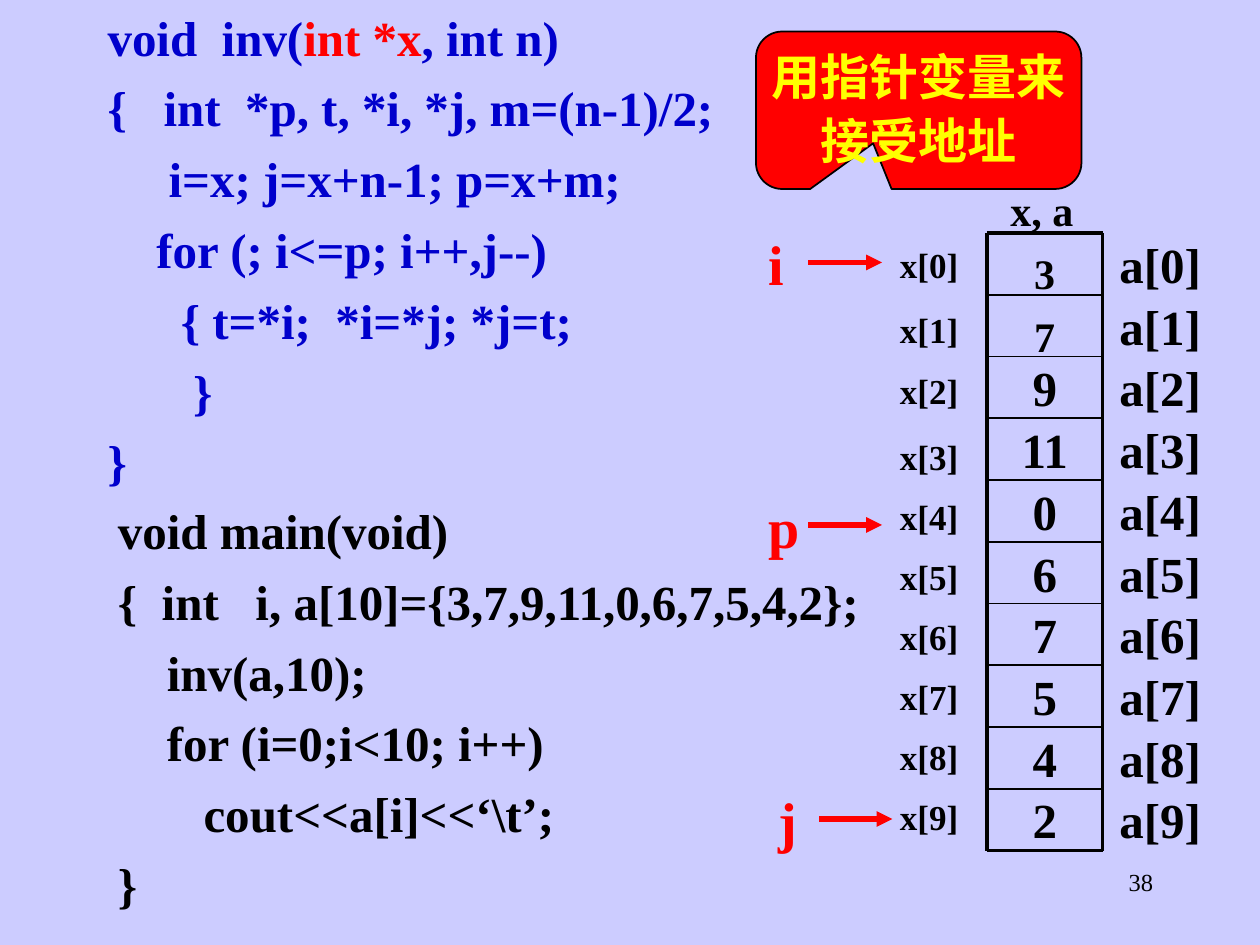
from itertools import accumulate

from lxml import etree
from pptx import Presentation
from pptx import util as u
from pptx.dml import color
from pptx.enum import shapes, text
from pptx.oxml import ns

COLORS = {"bg": "CCCCFF", "ink": "000000", "code": "0000CC",
          "accent": "FF0000", "note": "FFFF00"}
COLS, ROWS = 120, 90
LEFT, CENTER, RIGHT = text.PP_ALIGN.LEFT, text.PP_ALIGN.CENTER, text.PP_ALIGN.RIGHT
TIGHT = (0.02, 0.01, 0.02, 0.01)
LABEL = (0.02, 0.08, 0.02, 0.04)
LOOSE = (0.1, 0.05, 0.1, 0.05)


class Deck:
    font = "Times New Roman"

    def __init__(self):
        self.prs = Presentation()
        self.prs.slide_width, self.prs.slide_height = u.Inches(10), u.Inches(7.5)
        self.s = self.prs.slides.add_slide(self.prs.slide_layouts[6])
        fill = self.s.background.fill
        fill.solid()
        fill.fore_color.rgb = self.rgb("bg")

    def rgb(self, name):
        return color.RGBColor.from_string(COLORS[name])

    def x(self, col):
        return round(self.prs.slide_width * col / COLS)

    def y(self, row):
        return round(self.prs.slide_height * row / ROWS)

    def area(self, col, row, width, height):
        return self.x(col), self.y(row), self.x(width), self.y(height)

    def add_lines(self, sp, lines, size, ink="ink", align=CENTER, inset=TIGHT,
                  spacing=1.0, before=0, bold=True):
        tf = sp.text_frame
        tf.word_wrap = True
        tf.vertical_anchor = text.MSO_ANCHOR.TOP
        (tf.margin_left, tf.margin_top,
         tf.margin_right, tf.margin_bottom) = map(u.Inches, inset)
        for n, runs in enumerate(lines):
            p = tf.add_paragraph() if n else tf.paragraphs[0]
            p.alignment = align
            p.line_spacing = spacing
            if n:
                p.space_before = u.Pt(before)
            for words, shade in runs:
                r = p.add_run()
                r.text = words
                r.font.name = self.font
                r.font.size = u.Pt(size)
                r.font.bold = bold
                r.font.color.rgb = self.rgb(shade or ink)

    def text(self, area, words, size, **style):
        sp = self.s.shapes.add_textbox(*self.area(*area))
        self.add_lines(sp, [[(words, None)]], size, **style)

    def code(self, area, lines, ink):
        sp = self.s.shapes.add_textbox(*self.area(*area))
        self.add_lines(sp, lines, 28, ink=ink, align=LEFT, spacing=1.1, before=3.5)

    def callout(self, area, words, tip):
        sp = self.s.shapes.add_shape(
            shapes.MSO_SHAPE.ROUNDED_RECTANGULAR_CALLOUT, *self.area(*area))
        sp.adjustments[0], sp.adjustments[1] = tip
        sp.shadow.inherit = False
        sp.fill.solid()
        sp.fill.fore_color.rgb = self.rgb("accent")
        sp.line.color.rgb = self.rgb("ink")
        sp.line.width = u.Pt(1)
        self.add_lines(sp, [[(words, None)]], 28, ink="note", spacing=1.1)

    def line(self, x1, y1, x2, y2, width, ink="ink", arrow=False):
        c = self.s.shapes.add_connector(
            shapes.MSO_CONNECTOR.STRAIGHT,
            self.x(x1), self.y(y1), self.x(x2), self.y(y2))
        c.line.color.rgb = self.rgb(ink)
        c.line.width = u.Pt(width)
        props = c._element.spPr
        if arrow:
            etree.SubElement(props.find(ns.qn("a:ln")), ns.qn("a:tailEnd"), type="triangle")
        etree.SubElement(props, ns.qn("a:effectLst"))

    def pointer(self, name, col, row):
        self.line(col + 5, row + 5, col + 12, row + 5, 3, "accent", arrow=True)
        self.text((col, row, 6, 8.9), name, 32, ink="accent", align=LEFT,
                  inset=LOOSE, spacing=1.2)


def main():
    deck = Deck()
    deck.text((86, 82, 25, 6), "38", 14, align=RIGHT, inset=LOOSE, bold=False)

    deck.code((10, 0, 75, 46.9), [
        [("void  inv(", None), ("int *x", "accent"), (", int n)", None)],
        [("{   int  *p, t, *i, *j, m=(n-1)/2;", None)],
        [("     i=x; j=x+n-1; p=x+m;", None)],
        [("    for (; i<=p; i++,j--)", None)],
        [("      { t=*i;  *i=*j; *j=t;", None)],
        [("       }", None)],
        [("}", None)],
    ], "code")
    deck.code((11, 47, 95, 40.2), [
        [("void main(void)", None)],
        [("{  int   i, a[10]={3,7,9,11,0,6,7,5,4,2};", None)],
        [("    inv(a,10);", None)],
        [("    for (i=0;i<10; i++)", None)],
        [("       cout<<a[i]<<‘\\t’;", None)],
        [("}", None)],
    ], "ink")
    deck.callout((72, 3, 31, 15), "用指针变量来接受地址", (-0.14, 0.21))

    values = [3, 7, 9, 11, 0, 6, 7, 5, 4, 2]
    left, top, width, step = 94, 22.2, 11, 5.88
    right, bottom = left + width, top + step * len(values)
    heights = [6.24, 5.76, 6.36] + [5.7] * 7
    label_tops = accumulate(heights, initial=top)
    for n, (value, height, label_top) in enumerate(zip(values, heights, label_tops)):
        row = top + n * step
        if n < 2:
            deck.text((left, 23 + 6 * n, width, 5.5), str(value), 24, spacing=1.1)
        else:
            deck.text((left, row, width, step), str(value), 28)
        deck.text((left - width, label_top, width, height), f"x[{n}]", 20, inset=LABEL)
        deck.text((right, row, width, step), f"a[{n}]", 28)
        if n:
            deck.line(left, row, right, row, 1)
    for row in (top, bottom):
        deck.line(left, row, right, row, 2.25)
    for col in (left, right):
        deck.line(col, top, col, bottom, 2.25)
    deck.text((96, 17, width, 5.5), "x, a", 24, align=LEFT, spacing=1.1)

    for name, col, row in (("i", 72, 20), ("j", 73, 73), ("p", 72, 45)):
        deck.pointer(name, col, row)

    deck.prs.save("out.pptx")


if __name__ == "__main__":
    main()
